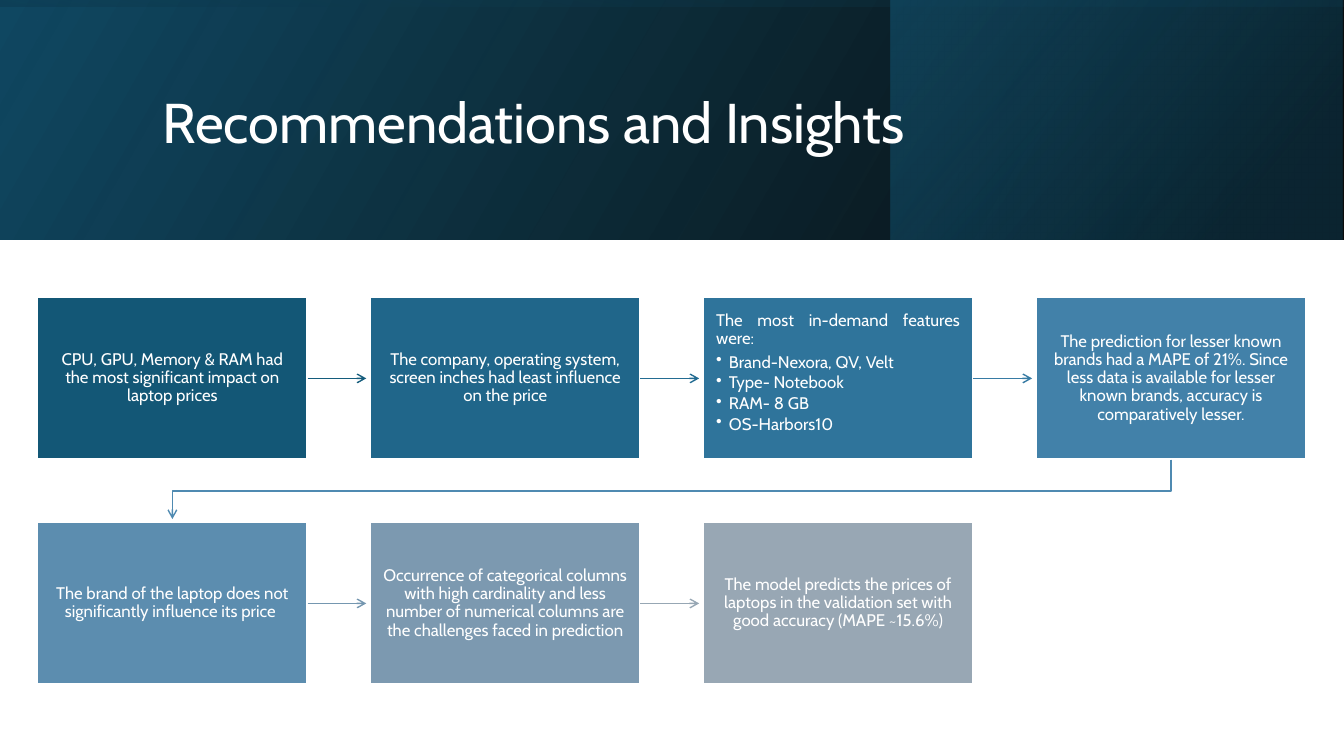
from lxml import etree
from pptx import Presentation
from pptx.dml.color import RGBColor
from pptx.enum.shapes import MSO_CONNECTOR, MSO_SHAPE
from pptx.enum.text import MSO_ANCHOR, PP_ALIGN
from pptx.oxml import parse_xml
from pptx.oxml.ns import nsdecls, qn
from pptx.util import Cm, Pt

RECT = MSO_SHAPE.RECTANGLE
STRAIGHT = MSO_CONNECTOR.STRAIGHT
LEFT, CENTER, JUST = PP_ALIGN.LEFT, PP_ALIGN.CENTER, PP_ALIGN.JUSTIFY
TOP, MIDDLE = MSO_ANCHOR.TOP, MSO_ANCHOR.MIDDLE

WHITE = RGBColor(0xFF, 0xFF, 0xFF)
FILLS = [RGBColor(0x13, 0x57, 0x76), RGBColor(0x20, 0x66, 0x8A),
         RGBColor(0x2F, 0x74, 0x9B), RGBColor(0x42, 0x81, 0xA9),
         RGBColor(0x5C, 0x8D, 0xAF), RGBColor(0x7C, 0x99, 0xB0),
         RGBColor(0x98, 0xA7, 0xB4)]
LINES = [RGBColor(0x14, 0x5C, 0x7C), RGBColor(0x23, 0x6C, 0x92),
         RGBColor(0x37, 0x7B, 0xA4), RGBColor(0x4F, 0x8A, 0xB1),
         RGBColor(0x75, 0x97, 0xB0), RGBColor(0x97, 0xA7, 0xB4)]
BLACK = RGBColor(0, 0, 0)
NAVY = RGBColor(0x10, 0x48, 0x62)
DEEP = RGBColor(0x0B, 0x30, 0x41)
TEAL = RGBColor(0x15, 0x60, 0x82)


def write(para, text, size=12, align=CENTER, after=4.2, bullet=False):
    para.alignment = align
    para.line_spacing = 0.9
    para.space_before = Pt(0)
    para.space_after = Pt(after)
    run = para.add_run()
    run.text = text
    run.font.name = "Cabin"
    run.font.size = Pt(size)
    run.font.color.rgb = WHITE
    if bullet:
        props = para._p.get_or_add_pPr()
        props.set("marL", str(Cm(0.32)))
        props.set("indent", str(-Cm(0.32)))
        etree.SubElement(props, qn("a:buChar")).set("char", "•")


def point(shape, color):
    shape.line.color.rgb = color
    shape.line.width = Pt(1)
    end = etree.SubElement(shape.line._get_or_add_ln(), qn("a:tailEnd"))
    end.set("type", "arrow")
    etree.SubElement(shape._element.spPr, qn("a:effectLst"))


deck = Presentation()
deck.slide_width, deck.slide_height = Cm(33.87), Cm(19.05)
slide = deck.slides.add_slide(deck.slide_layouts[5])
shapes = slide.shapes

# Banner: left, top, width, height, turn, gradient angle, stops
BANDS = [
    (0, 0, 33.87, 6.03, 0, 330, [(0, BLACK, 96), (100, NAVY, 100)]),
    (22.44, 0, 11.39, 6.03, 0, 320, [(19, DEEP, 68), (100, TEAL, 48)]),
    (13.92, -13.92, 6.03, 33.87, 270, 350, [(23, NAVY, 16), (99, BLACK, 45)]),
]
for left, top, width, height, turn, angle, stops in BANDS:
    band = shapes.add_shape(RECT, Cm(left), Cm(top), Cm(width), Cm(height))
    band.shadow.inherit = False
    band.line.fill.background()
    band.rotation = turn
    props = band._element.spPr
    props.find(qn("a:xfrm")).set("flipH", "1")
    marks = "".join(
        f'<a:gs pos="{pos * 1000}"><a:srgbClr val="{color}">'
        f'<a:alpha val="{alpha * 1000}"/></a:srgbClr></a:gs>'
        for pos, color, alpha in stops)
    props.find(qn("a:prstGeom")).addnext(parse_xml(
        f'<a:gradFill rotWithShape="1" {nsdecls("a")}><a:gsLst>{marks}</a:gsLst>'
        f'<a:lin ang="{angle * 60000}" scaled="0"/></a:gradFill>'))

# Title, brought in front of the banner
title = shapes.title
title.left, title.top, title.width, title.height = Cm(3.84), Cm(0.97), Cm(27), Cm(4.37)
title.text_frame.vertical_anchor = MIDDLE
title.text_frame.word_wrap = True
write(title.text_frame.paragraphs[0], "Recommendations and Insights",
      size=40, align=LEFT, after=0)
shapes._spTree.append(title._element)

# Boxes in rows of four, each with an arrow to the next
NOTES = [
    ["CPU, GPU, Memory & RAM had the most significant impact on laptop prices"],
    ["The company, operating system, screen inches had least influence on the price"],
    ["The most in-demand features were: ", "Brand-Nexora, QV, Velt",
     "Type- Notebook", "RAM- 8 GB", "OS-Harbors10"],
    ["The prediction for lesser known brands had a MAPE of 21%. Since less data is "
     "available for lesser known brands, accuracy is comparatively lesser."],
    ["The brand of the laptop does not significantly influence its price "],
    ["Occurrence of categorical columns with high cardinality and less number of "
     "numerical columns are the challenges faced in prediction"],
    ["The model predicts the prices of laptops in the validation set with good "
     "accuracy (MAPE ~15.6%)"],
]
COLS = 4
X, Y, WIDE, HIGH = Cm(0.94), Cm(7.49), Cm(6.81), Cm(4.09)
STEP, DROP, REACH = Cm(8.39), Cm(5.67), Cm(1.48)

for i, (note, fill) in enumerate(zip(NOTES, FILLS)):
    row, col = divmod(i, COLS)
    left, top = X + col * STEP, Y + row * DROP
    box = shapes.add_shape(RECT, left, top, WIDE, HIGH)
    box.shadow.inherit = False
    box.fill.solid()
    box.fill.fore_color.rgb = fill
    box.line.color.rgb = WHITE
    box.line.width = Pt(1.5)
    frame = box.text_frame
    frame.word_wrap = True
    frame.margin_left = frame.margin_right = Cm(0.33)
    frame.margin_top = frame.margin_bottom = Cm(0.36)
    listed = len(note) > 1
    frame.vertical_anchor = TOP if listed else MIDDLE
    align = JUST if listed else CENTER
    write(frame.paragraphs[0], note[0], align=align)
    for item in note[1:]:
        write(frame.add_paragraph(), item, align=align, after=1.8, bullet=True)

    if i == len(NOTES) - 1:
        continue
    if col < COLS - 1:
        start, mid = left + WIDE, top + HIGH // 2
        arrow = shapes.add_connector(STRAIGHT, start, mid, start + REACH, mid)
    else:
        # Bent arrow down to the start of the next row
        last, first = left + WIDE // 2, X + WIDE // 2
        base = top + HIGH
        bend = (base + top + DROP) // 2
        path = shapes.build_freeform(last, base)
        path.add_line_segments([(last, bend), (first, bend),
                                (first, top + DROP - Cm(0.08))], close=False)
        arrow = path.convert_to_shape()
        arrow.fill.background()
    point(arrow, LINES[i])

deck.save("out.pptx")
